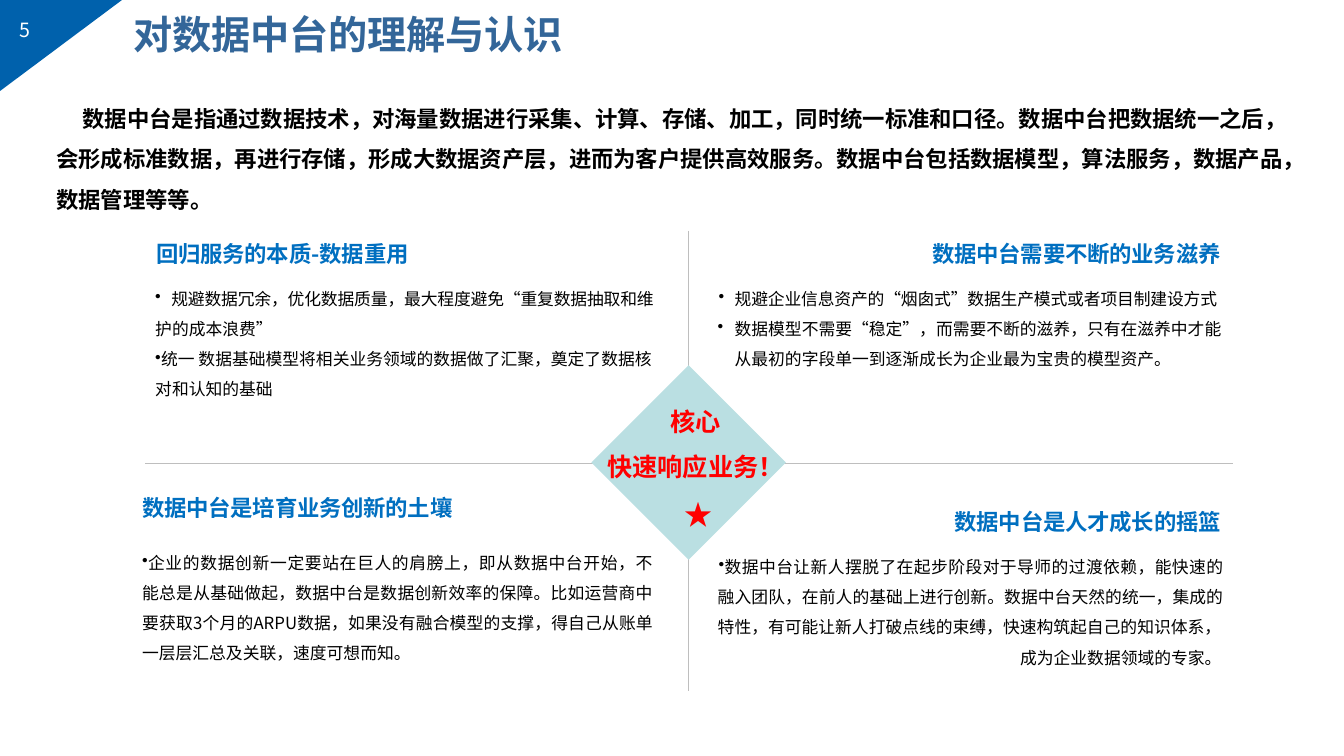
from lxml import etree
from pptx import Presentation
from pptx.dml.color import RGBColor
from pptx.enum import shapes, text
from pptx.oxml import ns
from pptx.util import Pt

FONT = "Noto Sans CJK SC"
WHITE = RGBColor(0xFF, 0xFF, 0xFF)
BLACK = RGBColor(0, 0, 0)
CORNER = RGBColor(0x00, 0x61, 0xAC)
TITLE = RGBColor(0x33, 0x66, 0x99)
HEADING = RGBColor(0x00, 0x6F, 0xC0)
RED = RGBColor(0xFF, 0, 0)
TEAL = RGBColor(0xBA, 0xDF, 0xE2)
GREY = RGBColor(0xBE, 0xBE, 0xBE)
LEFT, CENTER, JUSTIFY = text.PP_ALIGN.LEFT, text.PP_ALIGN.CENTER, text.PP_ALIGN.JUSTIFY


def para(words, size=12, color=BLACK, bold=False, left=0.7, indent=0, before=0,
         line=None, bullet=False, align=LEFT, spc=0):
    """Describe one paragraph; lengths and spacing are in points."""
    return dict(words=words, size=size, color=color, bold=bold, left=left, indent=indent,
                before=before, line=line, bullet=bullet, align=align, spc=spc)


def heading(words, left=0.7):
    return para(words, 16, HEADING, True, left=left, spc=-0.1)


def add_para(p, d):
    p.alignment = d["align"]
    p.space_before = Pt(d["before"])
    if d["line"]:
        p.line_spacing = d["line"]
    pPr = p._p.get_or_add_pPr()
    pPr.set("marL", str(Pt(d["left"])))
    pPr.set("indent", str(Pt(d["indent"])))
    if d["bullet"]:
        etree.SubElement(pPr, ns.qn("a:buChar"), char="•")
        tabs = etree.SubElement(pPr, ns.qn("a:tabLst"))
        etree.SubElement(tabs, ns.qn("a:tab"), pos=str(Pt(12.2)), algn="l")
    r = p.add_run()
    r.text = d["words"]
    r.font.name = FONT
    r.font.size = Pt(d["size"])
    r.font.bold = d["bold"]
    r.font.color.rgb = d["color"]
    rPr = r.font._element
    rPr.set("spc", str(round(d["spc"] * 100)))
    etree.SubElement(rPr, ns.qn("a:ea"), typeface=FONT)


def add_text(s, x, y, w, h, *paras, top=0.7):
    tf = s.shapes.add_textbox(Pt(x), Pt(y), Pt(w), Pt(h)).text_frame
    tf.word_wrap = True
    tf.margin_left = tf.margin_right = tf.margin_bottom = 0
    tf.margin_top = Pt(top)
    for i, d in enumerate(paras):
        add_para(tf.add_paragraph() if i else tf.paragraphs[0], d)


def paint(sp, color):
    sp.shadow.inherit = False
    sp.fill.solid()
    sp.fill.fore_color.rgb = color
    sp.line.fill.background()


def add_rule(s, x1, y1, x2, y2):
    c = s.shapes.add_connector(shapes.MSO_CONNECTOR.STRAIGHT, Pt(x1), Pt(y1), Pt(x2), Pt(y2))
    c.line.color.rgb = GREY
    c.line.width = Pt(0.25)
    etree.SubElement(c._element.spPr, ns.qn("a:effectLst"))


def add_corner(s):
    fb = s.shapes.build_freeform(Pt(87.1), 0)
    fb.add_line_segments([(0, 0), (0, Pt(65))])
    paint(fb.convert_to_shape(), CORNER)


def add_quadrants(s):
    add_text(s, 110.2, 170.6, 365, 116,
             heading("回归服务的本质-数据重用", left=1.3),
             para("规避数据冗余，优化数据质量，最大程度避免“重复数据抽取和维",
                  left=12.2, indent=-11.5, before=15.6, bullet=True, spc=-0.1),
             para("护的成本浪费”", before=7.2),
             para("统一 数据基础模型将相关业务领域的数据做了汇聚，奠定了数据核 对和认知的基础",
                  line=1.5, bullet=True))
    add_text(s, 512.6, 170.6, 362.2, 94.3,
             heading("数据中台需要不断的业务滋养", left=153.4),
             para("规避企业信息资产的“烟囱式”数据生产模式或者项目制建设方式",
                  left=12.2, indent=-11.5, before=15.6, bullet=True, spc=-0.1),
             para("数据模型不需要“稳定”，而需要不断的滋养，只有在滋养中才能 "
                  "从最初的字段单一到逐渐成长为企业最为宝贵的模型资产。",
                  left=12.2, indent=-12.2, line=1.5, bullet=True))
    add_text(s, 100.8, 386.6, 365.8, 88.6,
             para("企业的数据创新一定要站在巨人的肩膀上，即从数据中台开始，不 "
                  "能总是从基础做起，数据中台是数据创新效率的保障。比如运营商中 "
                  "要获取3个月的ARPU数据，如果没有融合模型的支撑，得自己从账单 "
                  "一层层汇总及关联，速度可想而知。",
                  line=1.5, bullet=True, align=JUSTIFY))
    add_text(s, 100.8, 352.1, 225.4, 20.9, heading("数据中台是培育业务创新的土壤"))
    add_text(s, 512, 362.2, 362.2, 116,
             heading("数据中台是人才成长的摇篮", left=169.9),
             para("数据中台让新人摆脱了在起步阶段对于导师的过渡依赖，能快速的 "
                  "融入团队，在前人的基础上进行创新。数据中台天然的统一，集成的 "
                  "特性，有可能让新人打破点线的束缚，快速构筑起自己的知识体系，",
                  indent=0.7, before=8.3, line=1.5, bullet=True, align=JUSTIFY),
             para("成为企业数据领域的专家。", left=216.7, before=7.2))


def add_core(s):
    sp = s.shapes.add_shape(shapes.MSO_SHAPE.DIAMOND, Pt(422.4), Pt(260.9), Pt(139), Pt(139))
    paint(sp, TEAL)
    add_text(s, 432.7, 278.6, 128.2, 67,
             para("核心", 18, RED, True, left=0, align=CENTER),
             para("快速响应业务！", 18, RED, True, left=0, before=10.8, align=CENTER), top=11.5)
    add_text(s, 488.2, 355, 18.7, 25.9, para("★", 20, RED, True))


def main():
    prs = Presentation()
    prs.slide_width, prs.slide_height = Pt(960), Pt(540)
    s = prs.slides.add_slide(prs.slide_layouts[6])
    add_corner(s)
    add_text(s, 13, 12.2, 9.4, 18.7, para("5", 14, WHITE))
    add_text(s, 95, 6.5, 365.8, 34.6, para("对数据中台的理解与认识", 28, TITLE, True, spc=-0.1))
    add_text(s, 39.6, 64.8, 897.8, 88.6,
             para("数据中台是指通过数据技术，对海量数据进行采集、计算、存储、加工，同时统一标准和口径。"
                  "数据中台把数据统一之后， 会形成标准数据，再进行存储，形成大数据资产层，进而为客户提供"
                  "高效服务。数据中台包括数据模型，算法服务，数据产品， 数据管理等等。",
                  16, bold=True, indent=18.7, line=1.5, spc=-0.04))
    add_rule(s, 103.7, 330.5, 880.6, 330.5)
    add_rule(s, 491.8, 164.9, 491.8, 493.9)
    add_core(s)
    add_quadrants(s)
    prs.save("out.pptx")


if __name__ == "__main__":
    main()
